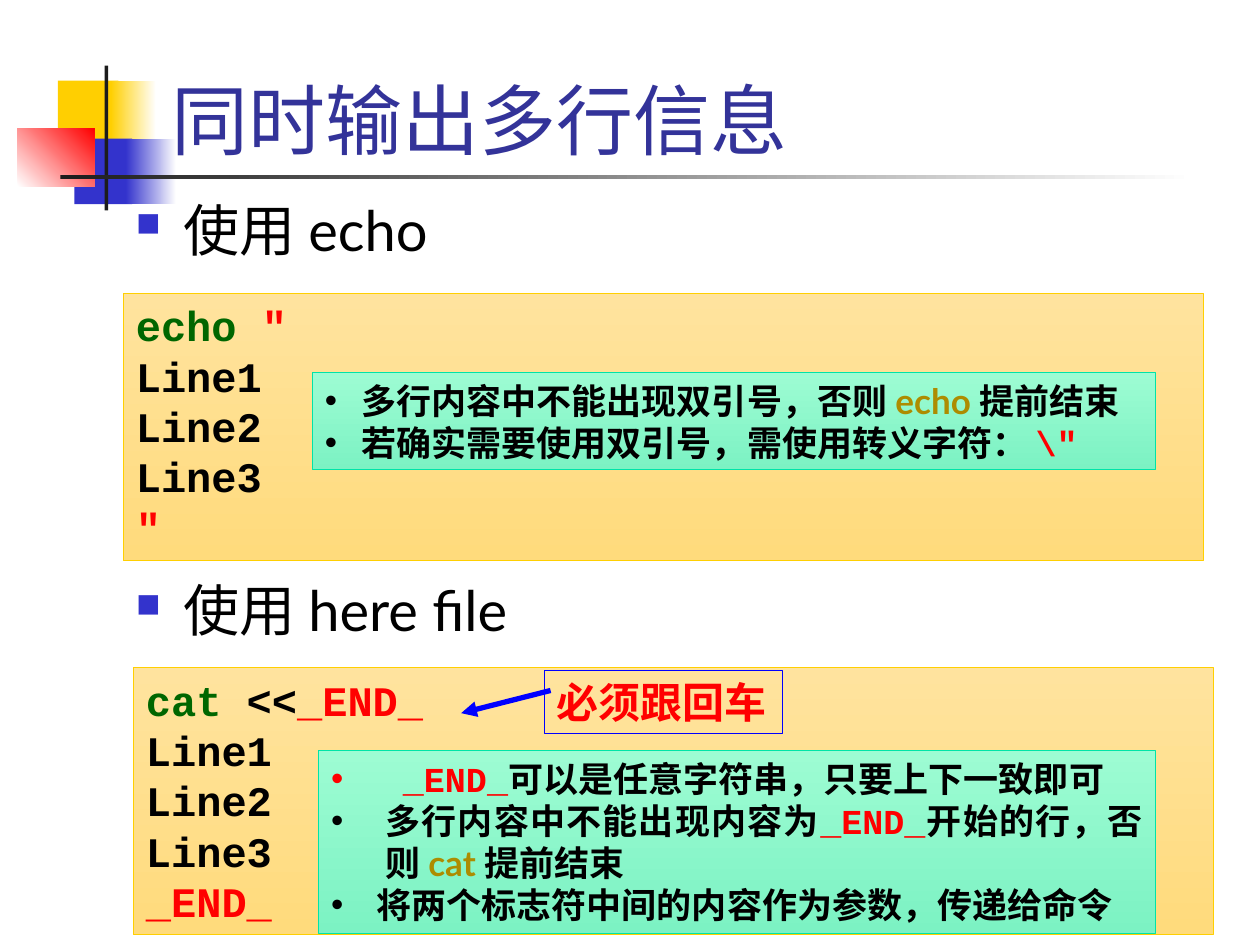
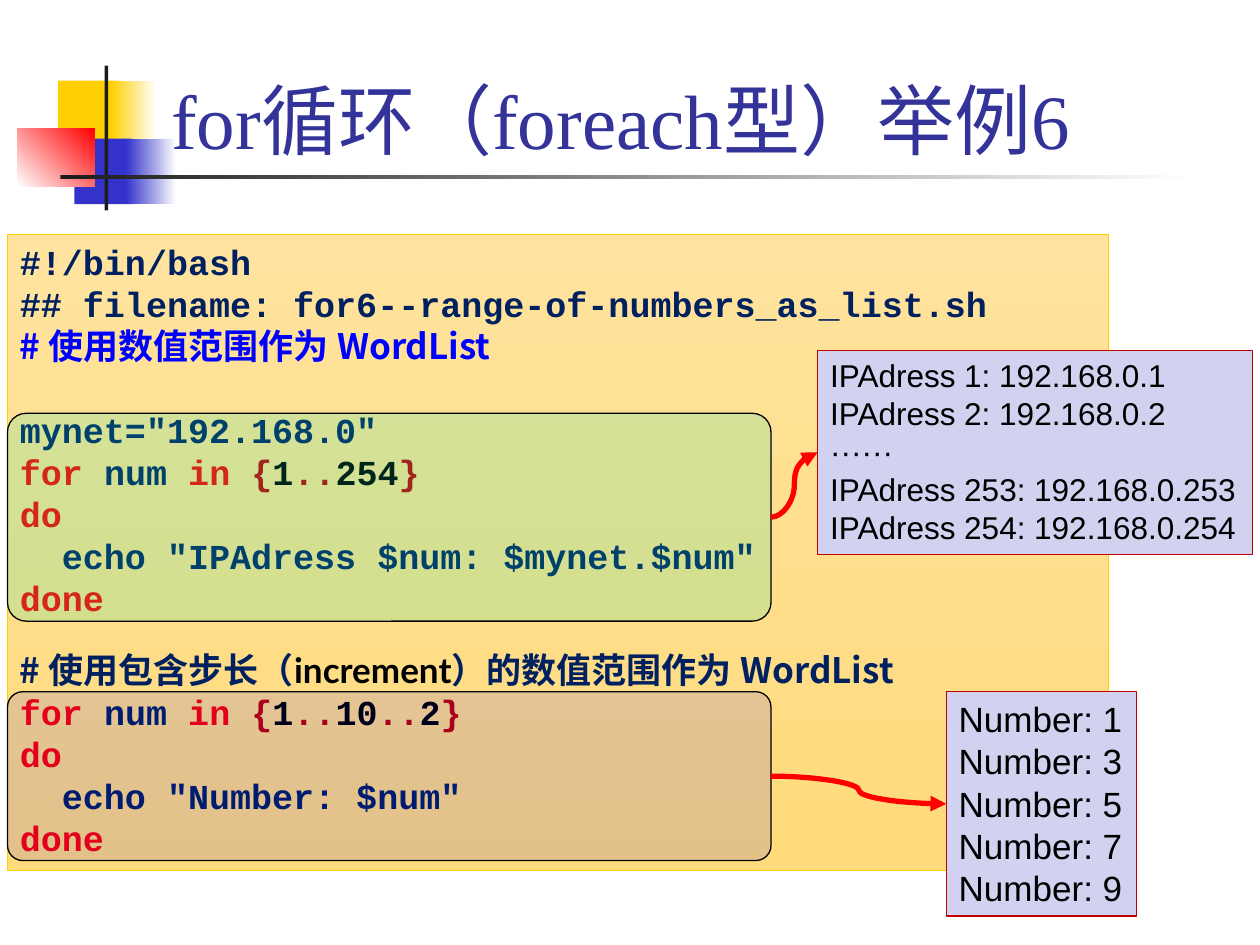
from dataclasses import dataclass
from lxml import etree
from pptx import Presentation
from pptx.dml.color import RGBColor
from pptx.enum.shapes import MSO_CONNECTOR as LINK, MSO_SHAPE as SHAPE
from pptx.enum.text import MSO_ANCHOR as ANCHOR, PP_ALIGN as ALIGN
from pptx.oxml.ns import qn
from pptx.util import Inches, Pt


@dataclass(frozen=True)
class Theme:
    black: str = "000000"
    ink: str = "1C1C1C"
    white: str = "FFFFFF"
    gold: str = "FFCF01"
    blue: str = "3333CC"
    title: str = "333399"
    red: str = "FF0000"
    dark_red: str = "C00000"
    green: str = "006600"
    navy: str = "002060"
    pure_blue: str = "0000FF"
    mint: str = "00E4A8"
    olive: str = "AD8C01"
    lilac: str = "D1D1F0"
    sand_fade: tuple = ("FFE39E", "FFDB7C", 90)
    mint_fade: tuple = ("9DFCD3", "7CF2C3", 90)
    code: str = "Courier New"
    body: str = "Lato"
    plain: str = "Arial"
    serif: str = "Times New Roman"
    cjk: str = "Noto Sans CJK SC"
    title_size: int = 44
    heading_size: int = 32
    large: int = 24
    medium: int = 20
    small: int = 18
    leading: float = 1.2


theme = Theme()
deck = Presentation()
deck.slide_width, deck.slide_height = Inches(10), Inches(7.5)
COLUMN, ROW = deck.slide_width / 10, deck.slide_height / 7.5


def block(page, place, fill=None, line=None, weight=0.5, kind=SHAPE.RECTANGLE):
    left, top, width, height = place
    shape = page.shapes.add_shape(
        kind, int(left * COLUMN), int(top * ROW), int(width * COLUMN), int(height * ROW))
    shape.shadow.inherit = False
    if fill is None:
        shape.fill.background()
    elif isinstance(fill, str):
        shape.fill.solid()
        shape.fill.fore_color.rgb = RGBColor.from_string(fill)
    else:
        shape.fill.gradient()
        shape.fill.gradient_angle = (360 - fill[2]) % 360
        for stop, colour in zip(shape.fill.gradient_stops, fill):
            stop.color.rgb = RGBColor.from_string(colour)
    if line:
        shape.line.color.rgb = RGBColor.from_string(line)
        shape.line.width = Pt(weight)
    else:
        shape.line.fill.background()
    return shape


def write(box, lines, size, font, colour=theme.black, bold=False, wrap=True,
          anchor=ANCHOR.TOP, align=ALIGN.LEFT, gaps={}, indents=(), bullet=()):
    frame = box.text_frame
    frame.word_wrap, frame.vertical_anchor = wrap, anchor
    for index, spans in enumerate(lines):
        para = frame.paragraphs[0] if index == 0 else frame.add_paragraph()
        para.alignment = align
        para.line_spacing = Pt(size * theme.leading)
        para.space_before = Pt(gaps.get(index, 0))
        if bullet:
            settings = para._p.get_or_add_pPr()
            settings.set("marL", str(Inches(indents[index])))
            settings.set("indent", str(-Inches(indents[index])))
            for tag, name, value in bullet:
                mark = etree.SubElement(settings, qn(tag))
                if tag == "a:buClr":
                    mark = etree.SubElement(mark, qn("a:srgbClr"))
                mark.set(name, value)
        para.font.name, para.font.size, para.font.bold = font, Pt(size), bold
        para.font.color.rgb = RGBColor.from_string(colour)
        for text, tint, face in [(*span, colour, font)[:3] if len(span) == 1
                                 else (*span, font)[:3] for span in spans]:
            span = para.add_run()
            span.text = text
            if tint != colour:
                span.font.color.rgb = RGBColor.from_string(tint)
            if face != font:
                span.font.name = face


ornaments = [
    ((0.46, 0.64, 0.48, 0.52), theme.gold),
    ((0.88, 0.64, 0.36, 0.52), (theme.gold, theme.white, 0)),
    ((0.59, 1.1, 0.46, 0.52), theme.blue),
    ((1, 1.1, 0.4, 0.52), (theme.blue, theme.white, 0)),
    ((0.14, 1.02, 0.61, 0.46), (theme.white, theme.red, 315)),
    ((0.83, 0.52, 0.03, 1.15), theme.ink),
    ((0.48, 1.39, 9, 0.03), (theme.ink, theme.white, 0)),
]
pages = []
for title in ["同时输出多行信息", "for循环（foreach型）举例6"]:
    page = deck.slides.add_slide(deck.slide_layouts[6])
    for place, fill in ornaments:
        block(page, place, fill)
    write(block(page, (1.26, 0.21, 8.52, 1.15)), [[(title,)]], theme.title_size,
          theme.serif, theme.title, anchor=ANCHOR.BOTTOM)
    pages.append(page)
echo_page, loop_page = pages

square = [("a:buClr", "val", theme.blue), ("a:buSzPct", "val", "60000"),
          ("a:buChar", "char", "■")]
dot = [("a:buFont", "typeface", theme.plain), ("a:buChar", "char", "•")]

write(block(echo_page, (0.98, 1.5, 8.5, 3.75)), [[("使用 echo",)], [("使用 here file",)]],
      theme.heading_size, theme.body, gaps={1: 179}, indents=(0.38, 0.38), bullet=square)

body_lines = [[(f"Line{number}",)] for number in range(1, 4)]
listings = [
    (0.98, 2.33, [("echo ", theme.green), ('"', theme.red)], '"'),
    (1.06, 5.3, [("cat", theme.green), (" <<",), ("_END_", theme.red)], "_END_"),
]
for left, top, opening, closing in listings:
    listing = block(echo_page, (left, top, 8.57, 2.12), theme.sand_fade, theme.gold)
    write(listing, [opening, *body_lines, [(closing, theme.red)]],
          theme.large, theme.code, bold=True)

marker = ("_END_", theme.red, theme.code)
notes = [
    ((2.48, 2.96, 6.69, 0.77), ALIGN.LEFT, (0.29, 0.29), [
        [("多行内容中不能出现双引号，否则 ",), ("echo ", theme.olive), ("提前结束",)],
        [("若确实需要使用双引号，需使用转义字符：",), (' \\"', theme.red, theme.code)],
    ]),
    ((2.53, 5.96, 6.64, 1.45), ALIGN.JUSTIFY, (0.57, 0.43, 0.36), [
        [marker, ("可以是任意字符串，只要上下一致即可",)],
        [("多行内容中不能出现内容为",), marker, ("开始的行，否则 ",),
         ("cat ", theme.olive), ("提前结束",)],
        [("将两个标志符中间的内容作为参数，传递给命令",)],
    ]),
]
for place, align, indents, lines in notes:
    note = block(echo_page, place, theme.mint_fade, theme.mint)
    write(note, lines, theme.medium, theme.body, bold=True, align=align,
          indents=indents, bullet=dot)

arrow = echo_page.shapes.add_connector(
    LINK.STRAIGHT, int(4.37 * COLUMN), int(5.48 * ROW), int(3.66 * COLUMN), int(5.66 * ROW))
arrows = [(arrow, theme.pure_blue)]
write(block(echo_page, (4.32, 5.32, 1.89, 0.5), line=theme.pure_blue, weight=0.75),
      [[("必须跟回车",)]], theme.large, theme.plain, theme.red, bold=True, wrap=False)


loop_heads = []
for numbers in [("1", "254"), ("1", "10", "2")]:
    head = [("for ", theme.red), ("num",), (" in ", theme.red), ("{", theme.dark_red)]
    for position, number in enumerate(numbers):
        if position:
            head.append(("..", theme.dark_red))
        head.append((number, theme.black))
    loop_heads.append([*head, ("}", theme.dark_red)])
start, finish = [("do", theme.red)], [("done", theme.red)]
script = [
    [("#!/bin/bash",)],
    [("## filename: for6--range-of-numbers_as_list.sh",)],
    [("# 使用数值范围作为 WordList", theme.pure_blue, theme.cjk)],
    [('mynet="192.168.0"',)],
    loop_heads[0],
    start,
    [('  echo "IPAdress $num: $mynet.$num"',)],
    finish,
    [("# 使用包含步长（", theme.navy, theme.cjk), ("increment", theme.black, theme.body),
     ("）的数值范围作为 WordList", theme.navy, theme.cjk)],
    loop_heads[1],
    start,
    [('  echo "Number: $num"',)],
    finish,
]
write(block(loop_page, (0.06, 1.86, 8.74, 5.05), theme.sand_fade, theme.gold), script,
      theme.medium, theme.code, theme.navy, bold=True, gaps={3: 24, 8: 16.8})

addresses = [f"IPAdress {host}: 192.168.0.{host}" for host in (1, 2, 253, 254)]
addresses.insert(2, "······")
odd_numbers = [f"Number: {number}" for number in range(1, 10, 2)]
loops = [
    (3.28, 1.65, theme.mint, 17, (6.49, 2.78, 3.45, 1.62), addresses, theme.small),
    (5.49, 1.34, theme.pure_blue, 11, (7.51, 5.49, 1.51, 1.78), odd_numbers, theme.medium),
]
for top, height, tint, opacity, place, results, size in loops:
    loop = block(loop_page, (0.06, top, 6.06, height), tint, theme.black, 0.75,
                 SHAPE.ROUNDED_RECTANGLE)
    loop.adjustments[0] = 0.09
    colour = loop._element.spPr.find(qn("a:solidFill"))[0]
    etree.SubElement(colour, qn("a:alpha")).set("val", str(opacity * 1000))
    output = block(loop_page, place, theme.lilac, theme.dark_red, 0.75)
    write(output, [[(result,)] for result in results], size, theme.plain, wrap=False)
    curve = loop_page.shapes.add_connector(LINK.CURVE, 0, 0, 0, 0)
    curve.begin_connect(loop, 3)
    curve.end_connect(output, 1)
    arrows.append((curve, theme.red))

for arrow, colour in arrows:
    arrow.line.color.rgb = RGBColor.from_string(colour)
    arrow.line.width = Pt(3)
    etree.SubElement(arrow.line._get_or_add_ln(), qn("a:tailEnd")).set("type", "triangle")
    etree.SubElement(arrow._element.spPr, qn("a:effectLst"))

deck.save("out.pptx")
